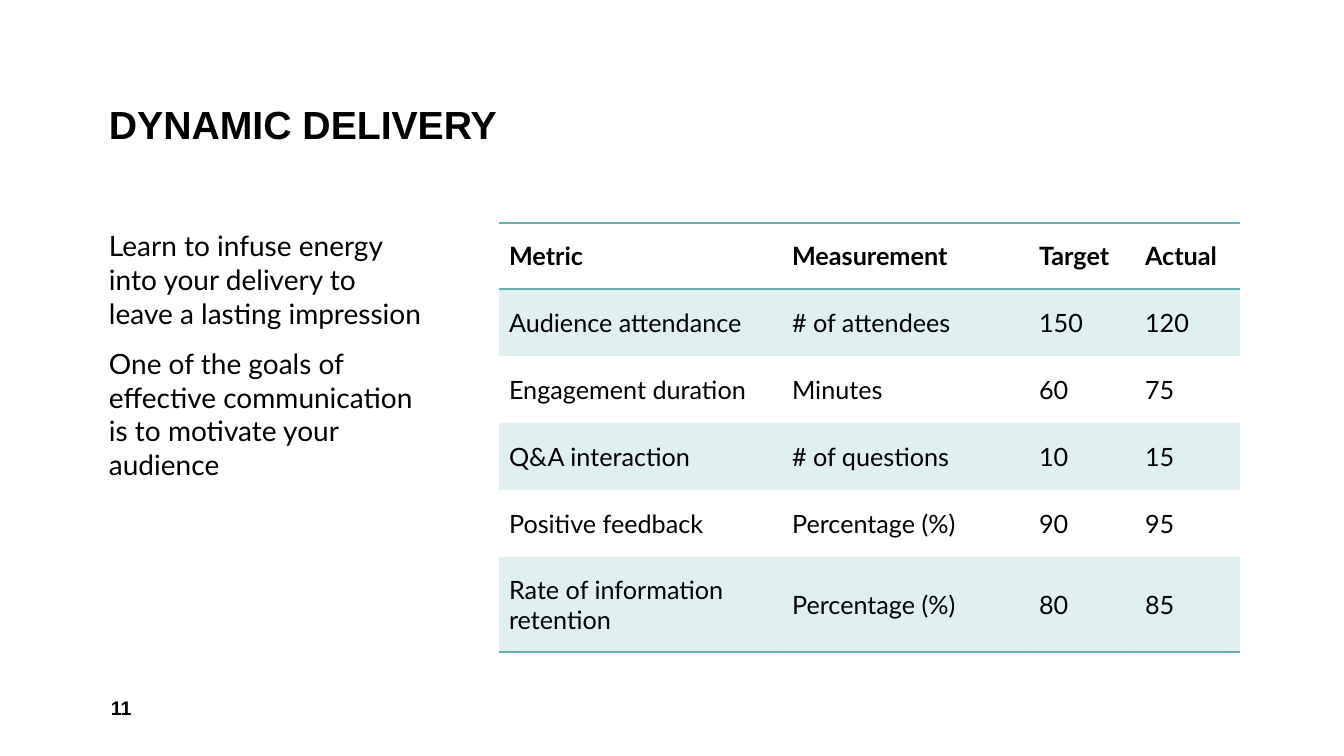
from lxml import etree
from pptx import Presentation, util as u
from pptx.dml.color import RGBColor
from pptx.enum import text
from pptx.oxml.ns import qn

TITLE = "DYNAMIC DELIVERY"
BODY = [
    "Learn to infuse energy into your delivery to leave a lasting impression",
    "One of the goals of effective communication is to motivate your audience",
]
ROWS = [
    ("Metric", "Measurement", "Target", "Actual"),
    ("Audience attendance", "# of attendees", "150", "120"),
    ("Engagement duration", "Minutes", "60", "75"),
    ("Q&A interaction", "# of questions", "10", "15"),
    ("Positive feedback", "Percentage (%)", "90", "95"),
    ("Rate of information retention", "Percentage (%)", "80", "85"),
]
WIDTHS = [283, 247, 106, 105]
HEIGHTS = [66, 67, 67, 67, 67, 95]
COLORS = {"ink": "000000", "teal": "66B2B0"}
PLAIN = "{2D5ABB26-0587-4C30-8999-92F81FD0307C}"
MID = text.MSO_ANCHOR.MIDDLE


def px(n):
    return u.Emu(round(n * 914400 / 100.8))


def write(frame, lines, size=18, font="Lato", bold=False, after=0, lead=1.0):
    frame.word_wrap = True
    for i, line in enumerate(lines):
        para = frame.paragraphs[0] if i == 0 else frame.add_paragraph()
        para.space_after = u.Pt(after)
        para.line_spacing = lead
        run = para.add_run()
        run.text = line
        run.font.size = u.Pt(size)
        run.font.name = font
        run.font.bold = bold
        run.font.color.rgb = RGBColor.from_string(COLORS["ink"])


def add_box(slide, area, lines, anchor=text.MSO_ANCHOR.TOP, **style):
    frame = slide.shapes.add_textbox(*map(px, area)).text_frame
    frame.vertical_anchor = anchor
    write(frame, lines, **style)


def add_rule(cell, side):
    props = cell._tc.get_or_add_tcPr()
    line = etree.SubElement(props, qn("a:ln" + side), w=str(u.Pt(1)))
    fill = etree.SubElement(line, qn("a:solidFill"))
    etree.SubElement(fill, qn("a:srgbClr"), val=COLORS["teal"])


def tint(cell):
    cell.fill.solid()
    cell.fill.fore_color.rgb = RGBColor.from_string(COLORS["teal"])
    color = cell._tc.tcPr.find(qn("a:solidFill"))[0]
    etree.SubElement(color, qn("a:alpha"), val="20000")


def add_grid(slide, left, top):
    size = (sum(WIDTHS), sum(HEIGHTS))
    frame = slide.shapes.add_table(
        len(ROWS), len(WIDTHS), *map(px, (left, top, *size)))
    table = frame.table
    table.first_row = table.horz_banding = False
    table._tbl.tblPr.find(qn("a:tableStyleId")).text = PLAIN
    for col, width in zip(table.columns, WIDTHS):
        col.width = px(width)
    for r, row in enumerate(ROWS):
        table.rows[r].height = px(HEIGHTS[r])
        for c, word in enumerate(row):
            cell = table.cell(r, c)
            cell.vertical_anchor = MID
            write(cell.text_frame, [word], bold=r == 0)
            if r == 0:
                add_rule(cell, "T")
            if r in (0, len(ROWS) - 1):
                add_rule(cell, "B")
            if r % 2:
                tint(cell)
            else:
                cell.fill.background()


def main():
    deck = Presentation()
    deck.slide_width, deck.slide_height = px(1344), px(756)
    slide = deck.slides.add_slide(deck.slide_layouts[6])
    add_box(slide, (99, 15, 680, 138), [TITLE], text.MSO_ANCHOR.BOTTOM,
            size=28, font="Arial", bold=True, lead=0.9)
    add_box(slide, (99, 224, 333, 430), BODY, size=20, after=12)
    add_grid(slide, 499, 223)
    add_box(slide, (101, 688, 131, 40), ["11"], MID,
            size=14, font="Arial", bold=True)
    deck.save("out.pptx")


if __name__ == "__main__":
    main()
